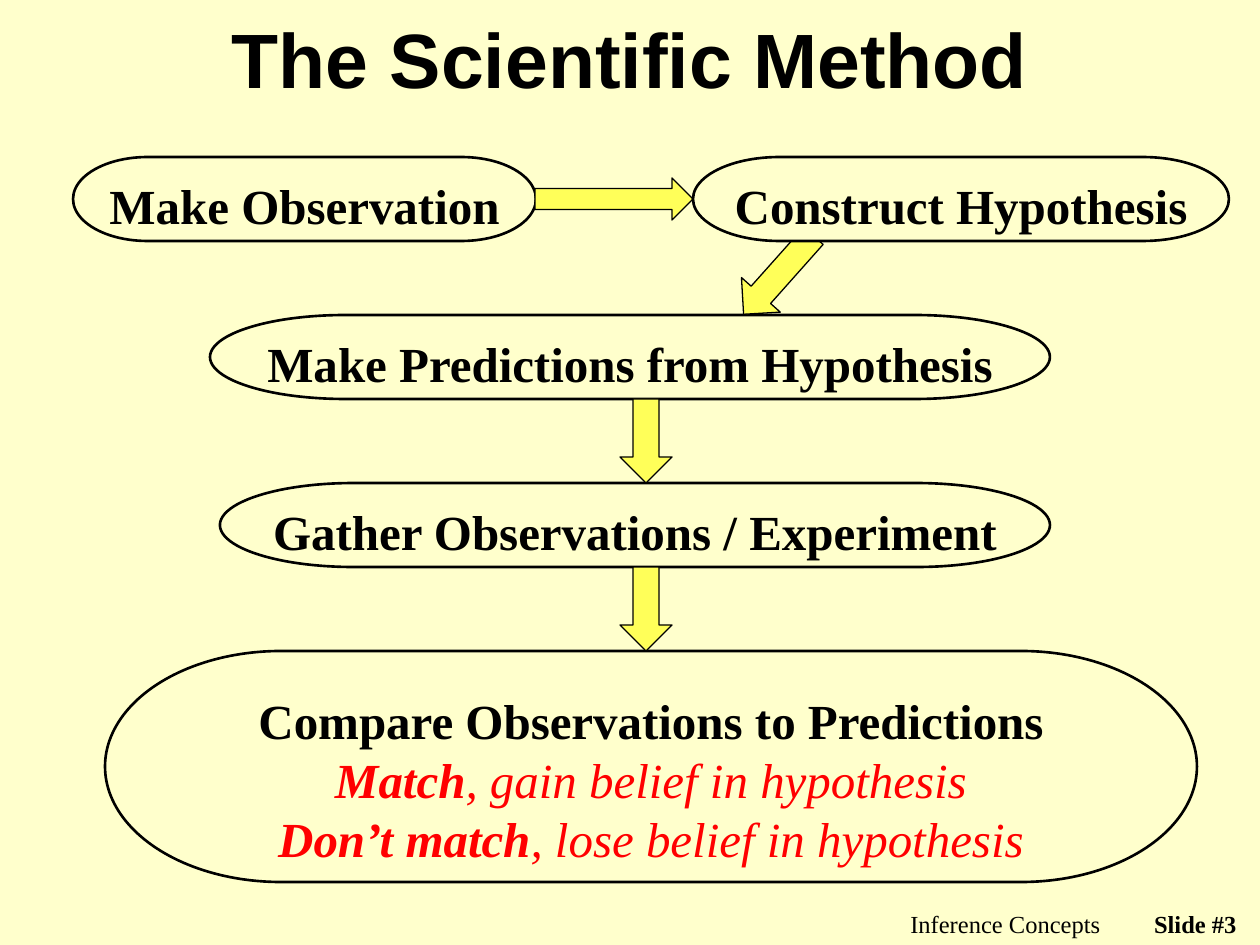
import pptx
import pptx.dml.color
import pptx.enum.shapes
import pptx.enum.text
import pptx.util

SHAPES = pptx.enum.shapes.MSO_SHAPE
ALIGN = pptx.enum.text.PP_ALIGN
ANCHOR = pptx.enum.text.MSO_ANCHOR
THEME = {
    "paper": "FFFFCC", "ink": "000000", "arrow": "FFFF59", "verdict": "FF0000",
    "heading": "Arial", "body": "Times New Roman",
    "title_size": 44, "step_size": 28, "footer_size": 14,
    "step_line": 1.5, "arrow_line": 0.75,
}


def px(*lengths):
    return [pptx.util.Emu(round(length * 914400 / 126)) for length in lengths]


def style(span, size, face="body", color="ink", bold=False, italic=False):
    span.font.name = THEME[face]
    span.font.size = pptx.util.Pt(THEME[size])
    span.font.color.rgb = pptx.dml.color.RGBColor.from_string(THEME[color])
    span.font.bold = bold
    span.font.italic = italic


# Page and background
deck = pptx.Presentation()
deck.slide_width, deck.slide_height = px(1260, 945)
page = deck.slides.add_slide(deck.slide_layouts[5])
page.background.fill.solid()
page.background.fill.fore_color.rgb = pptx.dml.color.RGBColor.from_string(THEME["paper"])

# Title
title = page.shapes.title
title.left, title.top, title.width, title.height = px(94, 0, 1072, 116)
frame = title.text_frame
frame.text = "The Scientific Method"
frame.vertical_anchor = ANCHOR.MIDDLE
frame.margin_top, frame.margin_bottom = px(6, 6)
frame.paragraphs[0].alignment = ALIGN.CENTER
style(frame.paragraphs[0].runs[0], "title_size", "heading", bold=True)

# Footer
for text, left, width, height, bold in [
    ("Inference Concepts", 713, 400, 32, False),
    ("Slide #3", 1113, 136, 21, True),
]:
    box = page.shapes.add_textbox(*px(left, 903, width, height))
    box.text_frame.word_wrap = True
    box.text_frame.text = text
    para = box.text_frame.paragraphs[0]
    para.alignment = ALIGN.RIGHT
    style(para.runs[0], "footer_size", bold=bold)

# Flow chart, back to front: kind, place, turn, first line of text
STEP, ARROW = SHAPES.FLOWCHART_TERMINATOR, SHAPES.RIGHT_ARROW
flow = [
    (STEP, (73, 157, 463, 84), 0, "Make Observation"),
    (STEP, (210, 315, 840, 84), 0, "Make Predictions from Hypothesis"),
    (STEP, (220, 483, 830, 84), 0, "Gather Observations / Experiment"),
    (STEP, (105, 651, 1092, 231), 0, "Compare Observations to Predictions"),
    (ARROW, (535, 178, 158, 42), 0, ""),
    (ARROW, (604, 415, 84, 52), 90, ""),
    (ARROW, (604, 583, 84, 52), 90, ""),
    (ARROW, (726, 249, 105, 52), 131.7, ""),
    (STEP, (693, 157, 536, 84), 0, "Construct Hypothesis"),
]
steps = {}
for kind, place, turn, text in flow:
    shape = page.shapes.add_shape(kind, *px(*place))
    shape.rotation = turn
    shape.shadow.inherit = False
    fill, line = ("paper", "step_line") if kind == STEP else ("arrow", "arrow_line")
    shape.fill.solid()
    shape.fill.fore_color.rgb = pptx.dml.color.RGBColor.from_string(THEME[fill])
    shape.line.color.rgb = pptx.dml.color.RGBColor.from_string(THEME["ink"])
    shape.line.width = pptx.util.Pt(THEME[line])
    if kind == STEP:
        frame = shape.text_frame
        frame.word_wrap = True
        frame.vertical_anchor = ANCHOR.TOP
        frame.margin_left, frame.margin_right, frame.margin_top, frame.margin_bottom = px(0, 0, 6, 0)
        frame.text = text
        frame.paragraphs[0].alignment = ALIGN.CENTER
        style(frame.paragraphs[0].runs[0], "step_size", bold=True)
        steps[text] = frame

# Outcomes of the comparison
for outcome, effect in [
    ("Match", ", gain belief in hypothesis"),
    ("Don’t match", ", lose belief in hypothesis"),
]:
    para = steps["Compare Observations to Predictions"].add_paragraph()
    para.alignment = ALIGN.CENTER
    for text, bold in [(outcome, True), (effect, False)]:
        span = para.add_run()
        span.text = text
        style(span, "step_size", color="verdict", bold=bold, italic=True)

deck.save("out.pptx")
